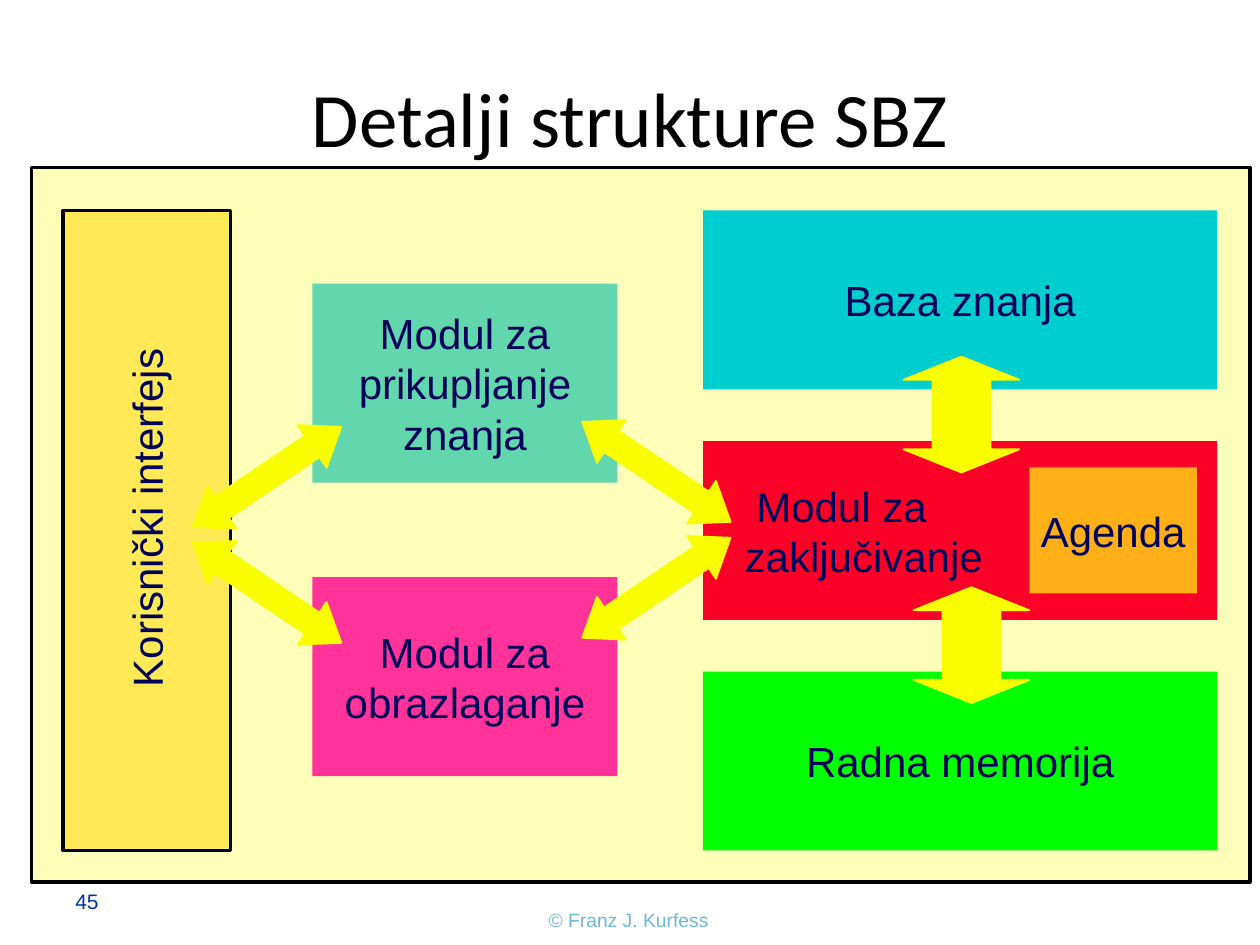
from pptx import Presentation
from pptx.dml.color import RGBColor
from pptx.enum.shapes import MSO_SHAPE
from pptx.enum.text import MSO_ANCHOR, PP_ALIGN
from pptx.util import Inches, Pt

RECTANGLE = MSO_SHAPE.RECTANGLE
DOUBLE_ARROW = MSO_SHAPE.LEFT_RIGHT_ARROW
MIDDLE = MSO_ANCHOR.MIDDLE
LEFT, CENTER = PP_ALIGN.LEFT, PP_ALIGN.CENTER

INK = "00025A"
YELLOW = "FAFD00"
BLACK = "000000"


def color(value):
    return RGBColor.from_string(value)


class SlideBuilder:
    """Holds the text style and the current slide, and adds its elements."""

    label_style = {"name": "Arial", "size": Pt(24), "bold": False}

    def __init__(self, slide):
        self.slide = slide

    def label(self, shape, text, align=CENTER, ink=INK, margins=(0, 0, 0, 0), **changes):
        frame = shape.text_frame
        frame.text = text
        sides = ("margin_left", "margin_top", "margin_right", "margin_bottom")
        settings = dict(zip(sides, map(Inches, margins)))
        settings.update(word_wrap=True, vertical_anchor=MIDDLE)
        for name, value in settings.items():
            setattr(frame, name, value)
        for paragraph in frame.paragraphs:
            paragraph.alignment = align
            for run in paragraph.runs:
                for name, value in {**self.label_style, **changes}.items():
                    setattr(run.font, name, value)
                run.font.color.rgb = color(ink)

    def title(self, text, box):
        shape = self.slide.shapes.title
        shape.left, shape.top, shape.width, shape.height = map(Inches, box)
        self.label(shape, text, ink=BLACK, margins=(0.1, 0.05, 0.1, 0.05),
                   name="Calibri", size=Pt(44))

    def text(self, text, box, rotation=0, **style):
        shape = self.slide.shapes.add_textbox(*map(Inches, box))
        shape.rotation = rotation
        self.label(shape, text, **style)

    def shape(self, kind, box, fill, line=None, line_width=2):
        shape = self.slide.shapes.add_shape(kind, *map(Inches, box))
        shape.shadow.inherit = False
        shape.fill.solid()
        shape.fill.fore_color.rgb = color(fill)
        if line:
            shape.line.color.rgb = color(line)
            shape.line.width = Pt(line_width)
        else:
            shape.line.fill.background()
        return shape

    def module(self, text, box, fill, **style):
        self.label(self.shape(RECTANGLE, box, fill), text, **style)

    def arrow(self, box, rotation, head):
        shape = self.shape(DOUBLE_ARROW, box, YELLOW, YELLOW, 1)
        shape.rotation = rotation
        shape.adjustments[0] = 0.5
        shape.adjustments[1] = head


def main():
    presentation = Presentation()
    presentation.slide_width = Inches(10)
    presentation.slide_height = Inches(7.5)
    slide = presentation.slides.add_slide(presentation.slide_layouts[5])
    builder = SlideBuilder(slide)

    builder.title("Detalji strukture SBZ", (0.5, 0.3, 9, 1.25))
    builder.text("45", (0.5, 6.95, 2.33, 0.4), align=LEFT, ink="003399",
                 margins=(0.1, 0.05, 0.1, 0.05), size=Pt(12))
    builder.text("© Franz J. Kurfess", (3.36, 7.17, 3.26, 0.26), ink="6EB7D7",
                 margins=(0.04, 0.04, 0.04, 0.04), size=Pt(11))

    builder.shape(RECTANGLE, (0.25, 1.33, 9.67, 5.67), "FCFEB9", BLACK)
    builder.shape(RECTANGLE, (0.5, 1.67, 1.33, 5.08), "FFE957", BLACK)
    builder.text("Korisnički interfejs", (-0.2, 3.91, 2.72, 0.4), rotation=270)

    knowledge_modules = [
        ("Baza znanja", "00CECE", {}),
        (" Modul za\nzaključivanje", "FC0128",
         {"align": LEFT, "margins": (0.33, 0, 0, 0)}),
        ("Radna memorija", "00FF00", {}),
    ]
    for row, (text, fill, style) in enumerate(knowledge_modules):
        builder.module(text, (5.58, 1.67 + 1.83 * row, 4.08, 1.42), fill, **style)
    builder.module("Agenda", (8.17, 3.71, 1.33, 1), "FFAF18")

    support_modules = [
        ("Modul za prikupljanje znanja", "62D6AC"),
        ("Modul za obrazlaganje", "FF3399"),
    ]
    for row, (text, fill) in enumerate(support_modules):
        builder.module(text, (2.48, 2.25 + 2.33 * row, 2.42, 1.58), fill)

    for left, top in ((7.17, 2.83), (7.25, 4.66)):
        builder.arrow((left, top, 0.92, 0.92), 90, 0.2)
    for left, top, upper_tilt in ((4.5, 3.54, 34), (1.41, 3.58, -34)):
        for row, tilt in enumerate((upper_tilt, -upper_tilt)):
            builder.arrow((left, top + 0.92 * row, 1.42, 0.41), tilt, 0.68)

    presentation.save("out.pptx")


if __name__ == "__main__":
    main()
